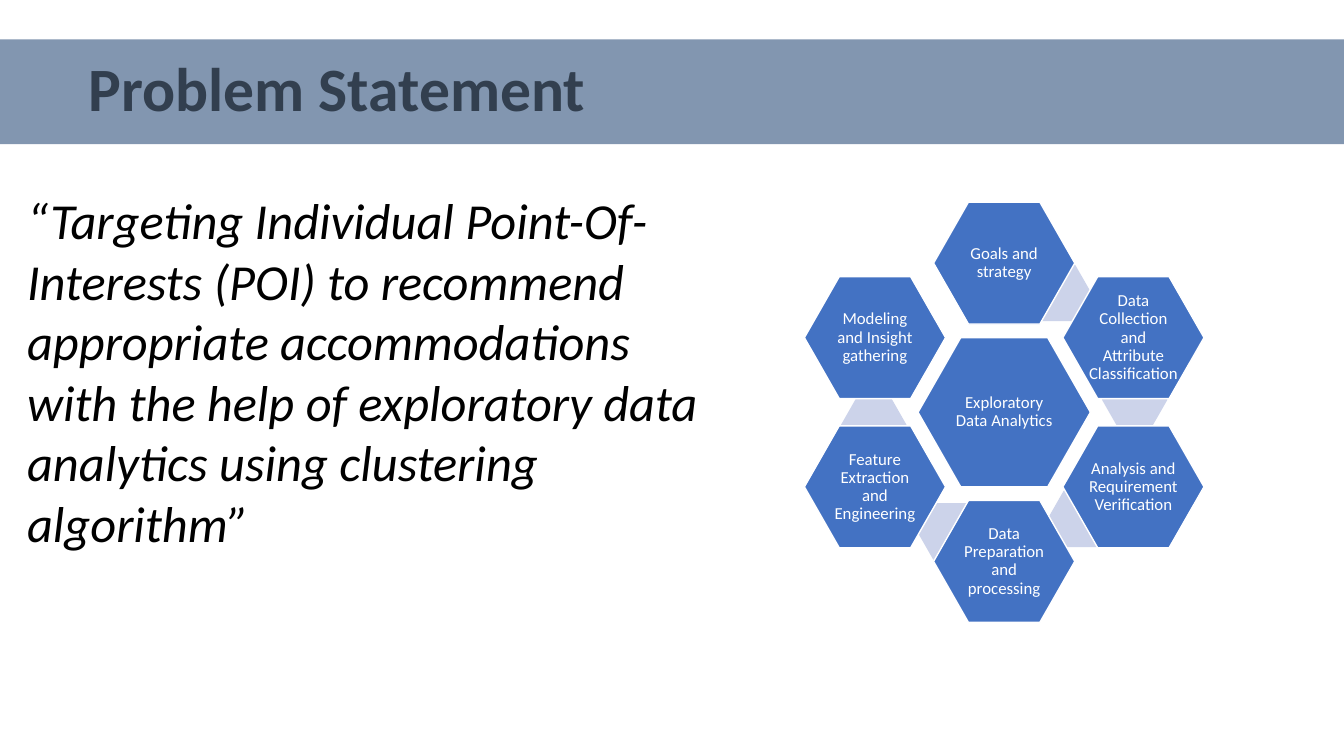
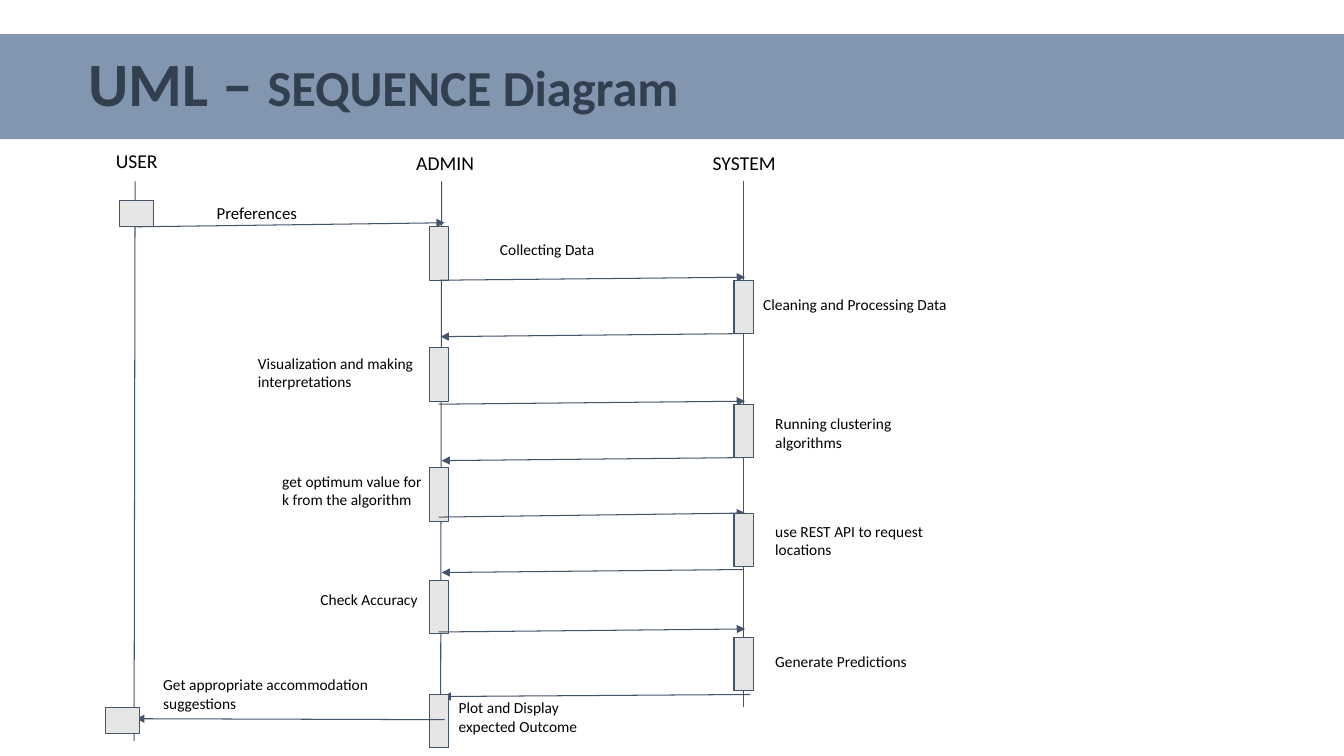
import math
from dataclasses import dataclass

import pptx
import pptx.dml.color
import pptx.enum.shapes
import pptx.enum.text
import pptx.oxml.ns
import pptx.util
from lxml import etree
from pptx.util import Inches

COLORS = {
    "band": "8296B0",
    "title": "323F4F",
    "hexagon": "4372C3",
    "accent": "CCD3EA",
    "line": "44546A",
    "bar": "E7E6E6",
    "text": "000000",
    "white": "FFFFFF",
}
FONT = "Calibri"
SHAPES = pptx.enum.shapes.MSO_SHAPE
ANCHOR = pptx.enum.text.MSO_ANCHOR
ALIGN = pptx.enum.text.PP_ALIGN

SLIDE_WIDTH, SLIDE_HEIGHT = 13.33, 7.5
BAND_HEIGHT = 1.04

WHEEL_CENTER = (9.96, 4.09)
SATELLITE_RADIUS, ACCENT_RADIUS = 1.48, 1.3
SECTOR, ACCENT_ANGLE = 60, 24.5
HUB_SIZE, SATELLITE_SIZE, ACCENT_SIZE = (1.71, 1.48), (1.4, 1.21), (0.65, 0.56)
WHEEL_STAGES = [
    "Goals and strategy",
    "Data Collection and Attribute Classification",
    "Analysis and Requirement Verification",
    "Data Preparation and processing",
    "Feature Extraction and Engineering",
    "Modeling and Insight gathering",
]

USER_BAR, PROCESS_BAR = (0.33, 0.26), (0.19, 0.53)
ADMIN_LEFT, SYSTEM_LEFT = 4.26, 7.28


@dataclass(frozen=True)
class Line:
    x1: float
    y1: float
    x2: float
    y2: float


@dataclass(frozen=True)
class Bar:
    left: float
    top: float
    size: tuple[float, float] = PROCESS_BAR


@dataclass(frozen=True)
class Message:
    """An arrow and the activation bar that it starts."""

    arrow: Line
    bar: Bar


@dataclass(frozen=True)
class Label:
    text: str
    left: float
    top: float
    width: float
    height: float = 0.57
    size: float = 11


LIFELINES = [
    Line(1.34, 1.8, 1.33, 7.35),
    Line(4.38, 1.8, 4.37, 7.41),
    Line(7.37, 1.8, 7.37, 7.01),
]
FIRST_BAR = Bar(1.19, 1.99, USER_BAR)
MESSAGES = [
    Message(Line(1.36, 2.25, 4.41, 2.21), Bar(ADMIN_LEFT, 2.25)),
    Message(Line(4.36, 2.78, 7.39, 2.75), Bar(SYSTEM_LEFT, 2.78)),
    Message(Line(7.36, 3.31, 4.37, 3.34), Bar(ADMIN_LEFT, 3.45)),
    Message(Line(4.35, 4.01, 7.39, 3.98), Bar(SYSTEM_LEFT, 4.01)),
    Message(Line(7.37, 4.54, 4.38, 4.57), Bar(ADMIN_LEFT, 4.64)),
    Message(Line(4.35, 5.13, 7.39, 5.09), Bar(SYSTEM_LEFT, 5.09)),
    Message(Line(7.37, 5.65, 4.38, 5.68), Bar(ADMIN_LEFT, 5.76)),
    Message(Line(4.35, 6.27, 7.39, 6.24), Bar(SYSTEM_LEFT, 6.32)),
    Message(Line(7.44, 6.89, 4.39, 6.91), Bar(ADMIN_LEFT, 6.89)),
    Message(Line(4.41, 7.14, 1.35, 7.13), Bar(1.05, 7.02, USER_BAR)),
]
LABELS = [
    Label("USER", 1.05, 1.38, 0.85, 0.44, 14),
    Label("ADMIN", 4.03, 1.4, 0.93, 0.44, 14),
    Label("SYSTEM", 6.97, 1.4, 1.03, 0.44, 14),
    Label("Preferences", 2.05, 1.91, 1.68, 0.4, 12),
    Label("Collecting Data", 4.86, 2.29, 1.68, 0.39),
    Label("Cleaning and Processing Data", 7.47, 2.84, 2.29, 0.39),
    Label("Visualization and making interpretations", 2.46, 3.41, 2.1),
    Label("Running clustering algorithms", 7.59, 4.01, 1.68),
    Label("get optimum value for k from the algorithm", 2.7, 4.58, 1.68),
    Label("use REST API to request locations", 7.59, 5.08, 1.68),
    Label("Check Accuracy", 3.08, 5.76, 1.68, 0.39),
    Label("Generate Predictions", 7.59, 6.38, 1.68, 0.39),
    Label("Plot and Display expected Outcome", 4.45, 6.83, 1.68),
    Label("Get appropriate accommodation suggestions", 1.52, 6.6, 2.29),
]


def rgb(name: str) -> pptx.dml.color.RGBColor:
    return pptx.dml.color.RGBColor.from_string(COLORS[name])


def write_text(shape, text: str, *, size: float, color: str = "text", bold: bool = False,
               italic: bool = False, align=ALIGN.LEFT, anchor=ANCHOR.TOP,
               spacing: float = 1.0, margins=(0.1, 0.05, 0.1, 0.05)) -> None:
    """Append a formatted run to the first paragraph of the shape."""
    frame = shape.text_frame
    frame.word_wrap = True
    frame.vertical_anchor = anchor
    (frame.margin_left, frame.margin_top,
     frame.margin_right, frame.margin_bottom) = map(Inches, margins)
    paragraph = frame.paragraphs[0]
    paragraph.alignment = align
    paragraph.line_spacing = spacing
    run = paragraph.add_run()
    run.text = text
    run.font.name = FONT
    run.font.size = pptx.util.Pt(size)
    run.font.bold = bold
    run.font.italic = italic
    run.font.color.rgb = rgb(color)


def add_box(slide, kind, left: float, top: float, size: tuple[float, float], fill: str,
            line: str | None = None, line_width: float = 0.75):
    shape = slide.shapes.add_shape(kind, Inches(left), Inches(top), *map(Inches, size))
    shape.shadow.inherit = False
    shape.fill.solid()
    shape.fill.fore_color.rgb = rgb(fill)
    if line:
        shape.line.color.rgb = rgb(line)
        shape.line.width = pptx.util.Pt(line_width)
    else:
        shape.line.fill.background()
    return shape


def add_label(slide, label: Label, **text_format) -> None:
    box = slide.shapes.add_textbox(Inches(label.left), Inches(label.top),
                                   Inches(label.width), Inches(label.height))
    write_text(box, label.text, size=label.size, **text_format)
    box.text_frame.auto_size = pptx.enum.text.MSO_AUTO_SIZE.SHAPE_TO_FIT_TEXT


def add_line(slide, line: Line, arrow: bool = False) -> None:
    connector = slide.shapes.add_connector(
        pptx.enum.shapes.MSO_CONNECTOR.STRAIGHT,
        Inches(line.x1), Inches(line.y1), Inches(line.x2), Inches(line.y2))
    connector.line.color.rgb = rgb("line")
    connector.line.width = pptx.util.Pt(0.75)
    properties = connector.element.spPr
    if arrow:
        outline = properties.find(pptx.oxml.ns.qn("a:ln"))
        etree.SubElement(outline, pptx.oxml.ns.qn("a:tailEnd"), type="triangle")
    etree.SubElement(properties, pptx.oxml.ns.qn("a:effectLst"))


def add_bar(slide, bar: Bar) -> None:
    add_box(slide, SHAPES.RECTANGLE, bar.left, bar.top, bar.size, "bar", "line")


def add_titled_slide(presentation, band_top: float, title_runs: list[tuple[str, float]]):
    slide = presentation.slides.add_slide(presentation.slide_layouts[6])
    band = add_box(slide, SHAPES.RECTANGLE, 0, band_top, (SLIDE_WIDTH, BAND_HEIGHT), "band")
    for text, size in title_runs:
        write_text(band, text, size=size, color="title", bold=True, anchor=ANCHOR.MIDDLE,
                   spacing=0.9, margins=(0.88, 0.05, 0.1, 0.05))
    return slide


def add_hexagon(slide, radius: float, angle: float, size: tuple[float, float],
                text: str = "") -> None:
    """Place a hexagon around the wheel centre, with the angle clockwise from the top."""
    x = WHEEL_CENTER[0] + radius * math.sin(math.radians(angle))
    y = WHEEL_CENTER[1] - radius * math.cos(math.radians(angle))
    fill, line = ("hexagon", "white") if text else ("accent", None)
    hexagon = add_box(slide, SHAPES.HEXAGON, x - size[0] / 2, y - size[1] / 2, size,
                      fill, line, line_width=1)
    hexagon.adjustments[0] = 0.286
    if text:
        write_text(hexagon, text, size=12, color="white", align=ALIGN.CENTER,
                   anchor=ANCHOR.MIDDLE, spacing=0.9, margins=(0.02,) * 4)


def add_problem_slide(presentation) -> None:
    slide = add_titled_slide(presentation, 0.39, [("Problem Statement", 44)])
    statement = ("“Targeting Individual Point-Of-Interests (POI) to recommend appropriate "
                 "accommodations with the help of exploratory data analytics using "
                 "clustering algorithm”")
    add_label(slide, Label(statement, 0.17, 1.83, 7.12, 3.74, 36), italic=True)

    add_hexagon(slide, 0, 0, HUB_SIZE, "Exploratory Data Analytics")
    for index, stage in enumerate(WHEEL_STAGES):
        angle = index * SECTOR
        if index < len(WHEEL_STAGES) - 1:
            add_hexagon(slide, ACCENT_RADIUS, angle + ACCENT_ANGLE, ACCENT_SIZE)
        add_hexagon(slide, SATELLITE_RADIUS, angle, SATELLITE_SIZE, stage)


def add_sequence_slide(presentation) -> None:
    slide = add_titled_slide(presentation, 0.34, [("UML – ", 44), ("SEQUENCE Diagram", 36)])
    for lifeline in LIFELINES:
        add_line(slide, lifeline)
    add_bar(slide, FIRST_BAR)
    for message in MESSAGES:
        add_line(slide, message.arrow, arrow=True)
        add_bar(slide, message.bar)
    for label in LABELS:
        add_label(slide, label, margins=(0.1,) * 4)


def main() -> None:
    presentation = pptx.Presentation()
    presentation.slide_width = Inches(SLIDE_WIDTH)
    presentation.slide_height = Inches(SLIDE_HEIGHT)
    add_problem_slide(presentation)
    add_sequence_slide(presentation)
    presentation.save("out.pptx")


if __name__ == "__main__":
    main()
